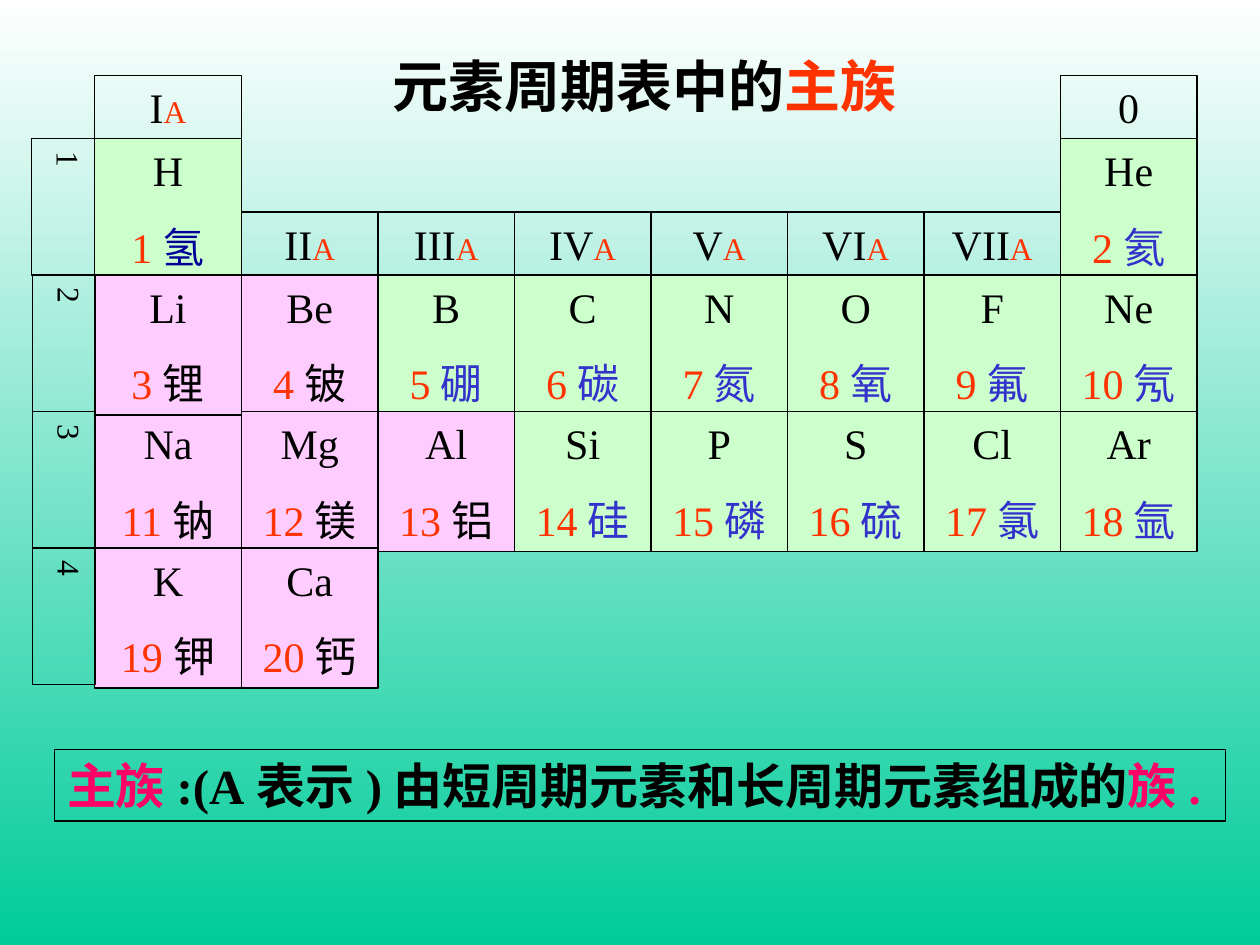
import pptx
import pptx.util
import pptx.dml.color
import pptx.enum.shapes
import pptx.enum.text

COLS, ROWS = 120, 90
LEFT, TOP, WIDE, STEP, HEAD = 9, 13.2, 14, 13, 6
BLACK, RED, BLUE, NAVY, ROSE = "000000", "FF3300", "3333CC", "000099", "FF0066"
PINK, GREEN = "FFCCFF", "CCFFCC"
ATOMS = ("H氢 He氦 Li锂 Be铍 B硼 C碳 N氮 O氧 F氟 Ne氖 "
         "Na钠 Mg镁 Al铝 Si硅 P磷 S硫 Cl氯 Ar氩 K钾 Ca钙").split()
METALS = {3, 4, 11, 12, 13, 19, 20}
GROUPS = ["I", "II", "III", "IV", "V", "VI", "VII"]


def color(code):
    """Turn a hex string into a colour."""
    return pptx.dml.color.RGBColor.from_string(code)


def span(deck, x, y, w, h):
    """Turn grid units into left, top, width and height."""
    dx, dy = deck.slide_width / COLS, deck.slide_height / ROWS
    return [round(v) for v in (x * dx, y * dy, w * dx, h * dy)]


def column(col):
    """Return the left edge and the width of a table column."""
    return (LEFT, WIDE) if col == 0 else (LEFT + WIDE + (col - 1) * STEP, STEP)


def write(shape, lines, gap=0, bold=False, align="CENTER", pad=(0.1, 0.05)):
    """Fill a shape with lines of (text, size, colour) runs."""
    frame = shape.text_frame
    frame.word_wrap = True
    frame.auto_size = pptx.enum.text.MSO_AUTO_SIZE.SHAPE_TO_FIT_TEXT
    frame.vertical_anchor = pptx.enum.text.MSO_ANCHOR.TOP
    frame.margin_left = frame.margin_right = pptx.util.Inches(pad[0])
    frame.margin_top = frame.margin_bottom = pptx.util.Inches(pad[1])
    for i, line in enumerate(lines):
        para = frame.add_paragraph() if i else frame.paragraphs[0]
        para.alignment = getattr(pptx.enum.text.PP_ALIGN, align)
        if i:
            para.space_before = pptx.util.Pt(gap)
        for text, size, code in line:
            run = para.add_run()
            run.text = text
            run.font.name = "Times New Roman"
            run.font.size = pptx.util.Pt(size)
            run.font.bold = bold
            run.font.color.rgb = color(code)


def box(deck, slide, place, fill=None):
    """Draw a thin black frame, filled if a colour is given."""
    kind = pptx.enum.shapes.MSO_SHAPE.RECTANGLE
    shape = slide.shapes.add_shape(kind, *span(deck, *place))
    shape.shadow.inherit = False
    shape.line.color.rgb = color(BLACK)
    shape.line.width = pptx.util.Pt(0.75)
    if fill:
        shape.fill.solid()
        shape.fill.fore_color.rgb = color(fill)
    else:
        shape.fill.background()
    return shape


def paint(slide):
    """Give the slide its downward gradient."""
    fill = slide.background.fill
    fill.gradient()
    fill.gradient_angle = 270
    for stop, code, at in zip(fill.gradient_stops, ("FFFFFF", "00CC99"), (0, 1)):
        stop.color.rgb = color(code)
        stop.position = at


def title(deck, slide):
    """Set the heading in the title placeholder."""
    head = slide.shapes.title
    head.left, head.top, head.width, head.height = span(deck, 32.6, 4.3, 57.6, 7.7)
    write(head, [[("元素周期表中的", 32, BLACK), ("主族", 32, RED)]], bold=True)


def atom(deck, slide, num):
    """Draw the cell of one element."""
    row, col = (0, 7 * (num - 1)) if num < 3 else divmod(num + 5, 8)
    metal = num in METALS
    left, width = column(col)
    place = left, TOP + row * STEP, width, 13.33
    shape = box(deck, slide, place, PINK if metal else GREEN)
    tint = NAVY if num == 1 else BLACK if metal else BLUE
    sign, name = ATOMS[num - 1][:-1], ATOMS[num - 1][-1]
    write(shape, [[(sign, 24, BLACK)], [(str(num), 24, RED), (name, 24, tint)]], 15)


def group(deck, slide, col, runs):
    """Draw the label above one column."""
    left, width = column(col)
    base = TOP if col in (0, 7) else TOP + STEP
    write(box(deck, slide, (left, base - HEAD, width, HEAD)), [runs])


def period(deck, slide, row):
    """Draw the upright label beside one row."""
    left = 3.1 if row else 3
    shape = box(deck, slide, (left, TOP + row * STEP, HEAD, STEP))
    write(shape, [[(str(row + 1), 18, BLACK)]], pad=(0.05, 0.1))
    shape.text_frame._txBody.bodyPr.set("vert", "eaVert")


def note(deck, slide):
    """Draw the definition below the table."""
    runs = [("主族", 28, ROSE), (":(A表示)由短周期元素和长周期元素组成的", 28, BLACK),
            ("族.", 28, ROSE)]
    shape = box(deck, slide, (5.2, 71.4, 111.5, 6.8))
    write(shape, [runs], bold=True, align="LEFT")


def main():
    """Build the slide and save it."""
    deck = pptx.Presentation()
    deck.slide_width = pptx.util.Inches(10)
    deck.slide_height = pptx.util.Inches(7.5)
    slide = deck.slides.add_slide(deck.slide_layouts[5])
    paint(slide)
    title(deck, slide)
    for num in sorted(range(1, len(ATOMS) + 1), key=lambda n: n != 11):
        atom(deck, slide, num)
    for col, name in enumerate(GROUPS):
        group(deck, slide, col, [(name, 24, BLACK), ("A", 18, RED)])
    group(deck, slide, 7, [("0", 24, BLACK)])
    for row in range(4):
        period(deck, slide, row)
    note(deck, slide)
    deck.save("out.pptx")


if __name__ == "__main__":
    main()
